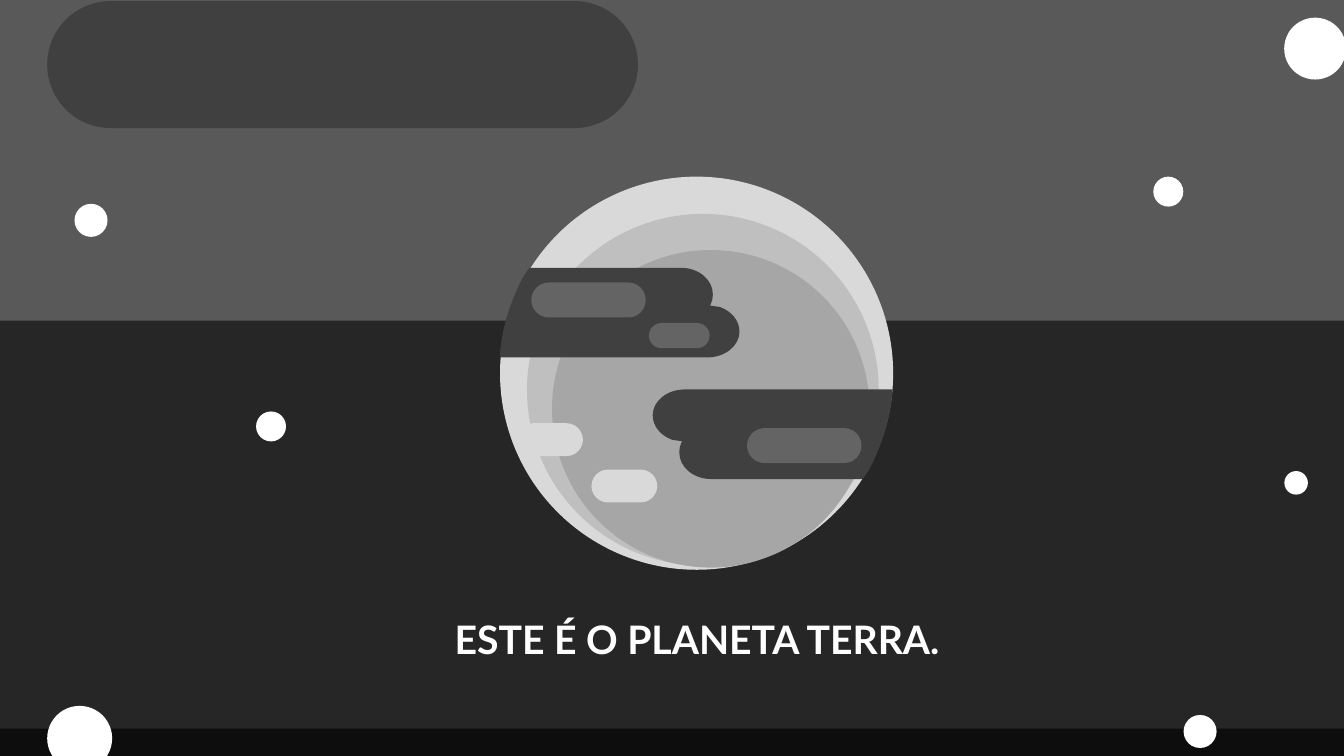
import pptx
import pptx.dml.color
import pptx.enum.shapes
import pptx.enum.text
import pptx.oxml.ns
import pptx.util

Pt = pptx.util.Pt
SHAPES = pptx.enum.shapes.MSO_SHAPE

COLOURS = {
    "upper sky": "595959", "lower sky": "262626", "ground": "0D0D0D",
    "star": "FFFFFF", "title": "FFFFFF", "cloud": "404040",
    "cloud spot": "646464", "rim": "D9D9D9", "middle": "BFBFBF",
    "core": "A6A6A6",
}
PAGE_WIDTH, PAGE_HEIGHT = 960, 540

# Cloud outline in a 171 by 64 point box: one point makes a line, three a curve
CLOUD_WIDTH, CLOUD_HEIGHT = 171, 64
CLOUD_START = (21, 0)
CLOUD_STEPS = [
    [(129, 0)],
    [(142, 0), (152, 8.5), (152, 19)],
    [(152, 21.5), (151.5, 24), (150.5, 26)],
    [(150, 27)],
    [(157, 28)],
    [(165.5, 31), (171, 38), (171, 45.5)],
    [(171, 55.5), (161, 64), (148, 64)],
    [(0, 64)],
    [(0, 60)],
    [(2, 40), (8, 23), (16.5, 6.5)],
]


def rgb(name):
    return pptx.dml.color.RGBColor.from_string(COLOURS[name])


def paint(shape, colour):
    shape.shadow.inherit = False
    shape.fill.solid()
    shape.fill.fore_color.rgb = rgb(colour)
    shape.line.fill.background()


def add_shape(page, kind, box, colour):
    shape = page.shapes.add_shape(kind, *(Pt(length) for length in box))
    paint(shape, colour)
    return shape


def add_pill(page, box, colour):
    add_shape(page, SHAPES.ROUNDED_RECTANGLE, box, colour).adjustments[0] = 0.5


def add_cloud(page, left, top, turned=False):
    points = [CLOUD_START] + [point for step in CLOUD_STEPS for point in step]
    if turned:
        points = [(CLOUD_WIDTH - x, CLOUD_HEIGHT - y) for x, y in points]
    points = [(Pt(left + x), Pt(top + y)) for x, y in points]
    builder = page.shapes.build_freeform(*points[0])
    builder.add_line_segments(points[1:], close=True)
    cloud = builder.convert_to_shape()
    paint(cloud, "cloud")
    # Join the three lines of each curve step into one Bezier curve
    lines = iter(list(cloud._element.iter(pptx.oxml.ns.qn("a:lnTo"))))
    for step in CLOUD_STEPS:
        parts = [next(lines) for _ in step]
        if len(parts) == 3:
            curve = parts[0].makeelement(pptx.oxml.ns.qn("a:cubicBezTo"))
            parts[0].addprevious(curve)
            for part in parts:
                curve.append(part[0])
                part.getparent().remove(part)


def add_sky(page, box):
    left, top, width, height = box
    # Bands bleed past the page and overlap, so no seam shows
    bleed = 42
    bands = [("upper sky", -99, 347), ("lower sky", 229, 410),
             ("ground", 520.5, 121)]
    for name, start, depth in bands:
        add_shape(page, SHAPES.RECTANGLE,
                  (left - bleed, top + start, width + 2 * bleed + 118, depth),
                  name)
    # Stars: left, top, diameter
    stars = [(917.3, 12.6, 44.2), (823.8, 126.2, 21.4), (917.4, 336.5, 16.8),
             (845.4, 510.7, 23.6), (53.2, 145.6, 23.6), (33.7, 504.2, 46.4),
             (182.9, 293.9, 21.4)]
    for x, y, size in stars:
        add_shape(page, SHAPES.OVAL, (left + x, top + y, size, size), "star")
    # Dark cloud at the upper left
    add_pill(page, (left + 33.7, top + 0.8, 422, 90.7), "cloud")


def add_planet(page, box):
    left, top, width, height = box
    # Discs: offset from the box, diameter
    discs = [("rim", 0, 0, width), ("middle", 19.2, 26.6, 251.3),
             ("core", 37.1, 52.4, 226.8)]
    for name, x, y, size in discs:
        add_shape(page, SHAPES.OVAL, (left + x, top + y, size, size), name)
    # The second cloud is the first one turned by half
    add_cloud(page, left, top + 65.1)
    add_cloud(page, left + 109, top + 152, turned=True)
    # Spots on the clouds and on the ground
    spots = [("cloud spot", 22.3, 75.6, 81.8, 25),
             ("cloud spot", 106.3, 104.5, 43.4, 18),
             ("cloud spot", 176.4, 179.6, 81.8, 25),
             ("rim", 12.2, 176.1, 47, 23.5), ("rim", 65.3, 209.2, 47, 23.5)]
    for name, x, y, spot_width, spot_height in spots:
        add_pill(page, (left + x, top + y, spot_width, spot_height), name)


def add_title(page, box):
    title = page.shapes.title
    title.left, title.top, title.width, title.height = map(Pt, box)
    frame = title.text_frame
    frame.text = "ESTE É O PLANETA TERRA."
    frame.word_wrap = True
    frame.auto_size = pptx.enum.text.MSO_AUTO_SIZE.SHAPE_TO_FIT_TEXT
    frame.vertical_anchor = pptx.enum.text.MSO_ANCHOR.TOP
    para = frame.paragraphs[0]
    para.alignment = pptx.enum.text.PP_ALIGN.CENTER
    font = para.runs[0].font
    font.name, font.size, font.bold = "Lato", Pt(28), True
    font.color.rgb = rgb("title")
    # Bring the title in front of the sky
    title._element.getparent().append(title._element)


deck = pptx.Presentation()
deck.slide_width, deck.slide_height = Pt(PAGE_WIDTH), Pt(PAGE_HEIGHT)
page = deck.slides.add_slide(deck.slide_layouts[5])
add_sky(page, (0, 0, PAGE_WIDTH, PAGE_HEIGHT))
add_planet(page, (357.2, 126.2, 280.8, 280.8))
add_title(page, (216.7, 435.6, 562.3, 41))
deck.save("out.pptx")
